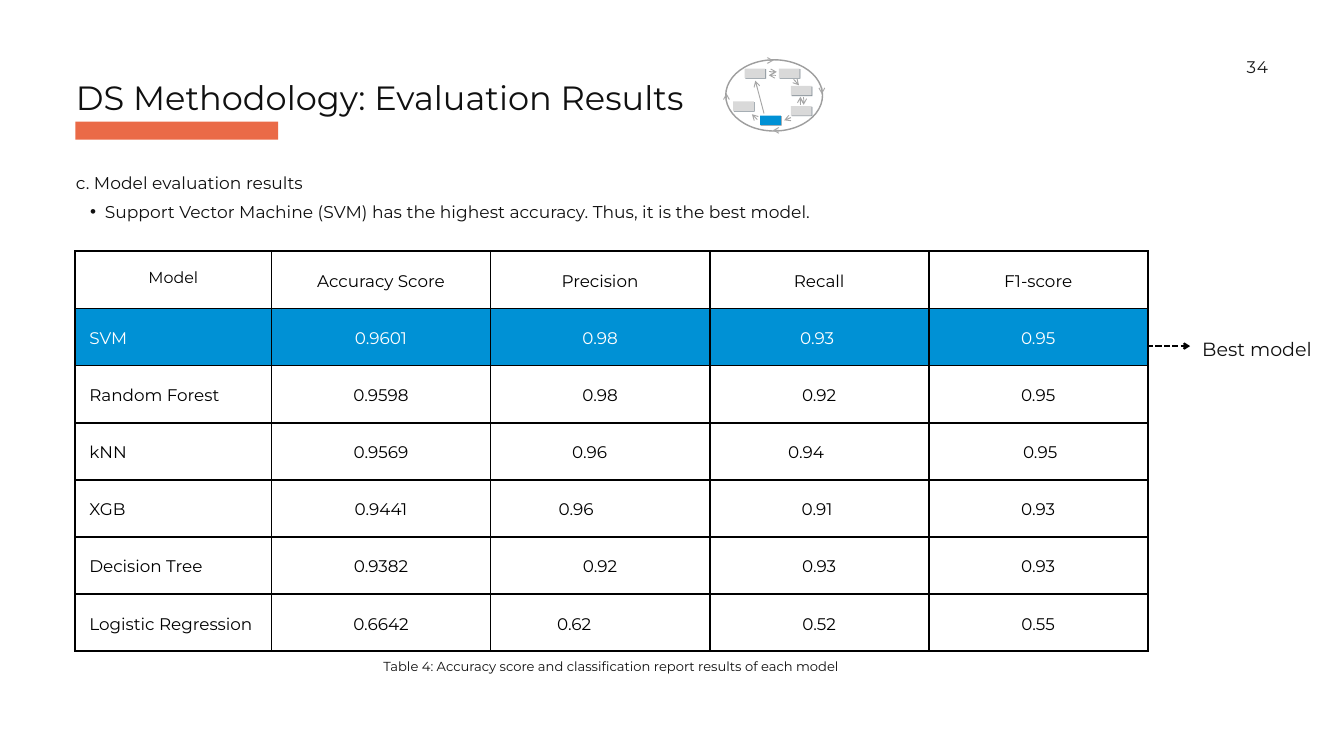
from dataclasses import dataclass

import lxml.etree
import pptx
import pptx.dml.color
import pptx.enum.dml
import pptx.enum.shapes
import pptx.enum.text
import pptx.oxml.ns
import pptx.util


@dataclass
class Theme:
    font: str = "Montserrat"
    ink: str = "101010"
    black: str = "000000"
    white: str = "FFFFFF"
    page: str = "191919"
    coral: str = "EA6A47"
    blue: str = "0091D5"
    ring: str = "9E9E9E"
    arrow: str = "A6A6A6"
    shade: str = "77838D"
    face: str = "D9D9D9"
    title: float = 36
    label: float = 20.4
    body: float = 18.3
    cell: float = 18
    head: float = 17
    note: float = 14


theme = Theme()
PX = 9144
Pt = pptx.util.Pt
RGB = pptx.dml.color.RGBColor.from_string
qn = pptx.oxml.ns.qn
align = pptx.enum.text.PP_ALIGN
kind = pptx.enum.shapes.MSO_SHAPE
sub = lxml.etree.SubElement


def write(para, text, size=theme.cell, color=theme.ink, lead=25.2, side=align.LEFT, track=0):
    para.alignment = side
    para.line_spacing = Pt(lead)
    para.space_before = Pt(0)
    run = para.add_run()
    run.text = text
    run.font.name = theme.font
    run.font.size = Pt(size)
    run.font.bold = False
    run.font.color.rgb = RGB(color)
    if track:
        run._r.get_or_add_rPr().set("spc", str(track))


def link(home, ends, color, width, dash=None):
    wire = home.add_connector(pptx.enum.shapes.MSO_CONNECTOR.STRAIGHT, *[v * PX for v in ends])
    wire.line.color.rgb = RGB(color)
    wire.line.width = Pt(width)
    if dash:
        wire.line.dash_style = dash
    sub(wire.line._get_or_add_ln(), qn("a:tailEnd"), type="arrow")
    sub(wire._element.spPr, qn("a:effectLst"))


deck = pptx.Presentation()
deck.slide_width = 2000 * PX
deck.slide_height = 1125 * PX
slide = deck.slides.add_slide(deck.slide_layouts[1])
shapes = slide.shapes

bar = shapes.add_shape(kind.RECTANGLE, 112 * PX, 181 * PX, 302 * PX, 27 * PX)
bar.shadow.inherit = False
bar.fill.solid()
bar.fill.fore_color.rgb = RGB(theme.coral)
bar.line.fill.background()

title, body = shapes.title, slide.placeholders[1]
best, note, page = [shapes.add_textbox(0, 0, PX, PX) for _ in range(3)]
spots = [
    (title, (113, 104, 1275, 68)),
    (body, (113, 244, 1330, 83)),
    (best, (1789, 488, 201, 43)),
    (note, (112, 970, 1595, 30)),
    (page, (1845, 79, 42, 34)),
]
for box, spot in spots:
    box.left, box.top, box.width, box.height = [v * PX for v in spot]
    frame = box.text_frame
    frame.margin_left = frame.margin_right = frame.margin_top = frame.margin_bottom = 0
    frame.word_wrap = True
    frame.auto_size = pptx.enum.text.MSO_AUTO_SIZE.NONE
    frame.vertical_anchor = pptx.enum.text.MSO_ANCHOR.TOP

write(title.text_frame.paragraphs[0], "DS Methodology: Evaluation Results",
      size=theme.title, lead=50.4, side=align.JUSTIFY)
write(best.text_frame.paragraphs[0], "Best model",
      size=theme.label, lead=34.6, side=align.JUSTIFY)
write(note.text_frame.paragraphs[0],
      "Table 4: Accuracy score and classification report results of each model",
      size=theme.note, lead=23.8, side=align.CENTER)
write(page.text_frame.paragraphs[0], "34", color=theme.page, side=align.RIGHT, track=90)

points = [
    ("c. Model evaluation results", 0, 0, 0, ""),
    ("Support Vector Machine (SVM) has the highest accuracy. Thus, it is the best model.",
     1, 43, -22, "•"),
]
for i, (text, level, left, hang, mark) in enumerate(points):
    para = body.text_frame.paragraphs[0] if i == 0 else body.text_frame.add_paragraph()
    para.level = level
    props = para._p.get_or_add_pPr()
    props.set("marL", str(left * PX))
    props.set("indent", str(hang * PX))
    if mark:
        sub(props, qn("a:buFont"), typeface="Arial")
        sub(props, qn("a:buChar"), char=mark)
    else:
        sub(props, qn("a:buNone"))
    write(para, text, size=theme.body, lead=31.1, side=align.JUSTIFY)

rows = [
    ("Model", "Accuracy Score", "Precision", "Recall", "F1-score"),
    ("SVM", "0.9601", "0.98", "0.93", "0.95"),
    ("Random Forest", "0.9598", "0.98", "0.92", "0.95"),
    ("kNN", "0.9569", "0.96", "0.94", "0.95"),
    ("XGB", "0.9441", "0.96", "0.91", "0.93"),
    ("Decision Tree", "0.9382", "0.92", "0.93", "0.93"),
    ("Logistic Regression", "0.6642", "0.62", "0.52", "0.55"),
]
shift = {(1, 3): -6, (3, 2): -31, (3, 3): -39, (3, 4): 6, (4, 2): -71, (4, 3): -6, (6, 2): -77}
high, pad = 85, 21
grid = shapes.add_table(len(rows), 5, 112 * PX, 374 * PX, 1596 * PX, high * len(rows) * PX).table
grid.first_row = grid.horz_banding = False
for c, col in enumerate(grid.columns):
    col.width = (326 if c else 292) * PX
for r, row in enumerate(rows):
    grid.rows[r].height = high * PX
    for c, text in enumerate(row):
        cell = grid.cell(r, c)
        move = shift.get((r, c), 0)
        cell.margin_top = cell.margin_bottom = pad * PX
        cell.margin_left = (pad + max(move, 0)) * PX
        cell.margin_right = (pad + max(-move, 0)) * PX
        cell.vertical_anchor = pptx.enum.text.MSO_ANCHOR.MIDDLE
        for edge in ("lnL", "lnR", "lnT", "lnB"):
            line = sub(cell._tc.get_or_add_tcPr(), qn("a:" + edge), w=str(Pt(2.25)))
            sub(sub(line, qn("a:solidFill")), qn("a:srgbClr"), val=theme.black)
        if r == 1:
            cell.fill.solid()
            cell.fill.fore_color.rgb = RGB(theme.blue)
        else:
            cell.fill.background()
        first = r == c == 0
        write(cell.text_frame.paragraphs[0], text,
              size=theme.head if first else theme.cell,
              lead=16.1 if first else 25.2,
              color=theme.white if r == 1 else theme.black,
              side=align.LEFT if r and not c else align.CENTER)

link(shapes, (1707, 515, 1771, 515), theme.black, 2.25, pptx.enum.dml.MSO_LINE.SQUARE_DOT)

cycle = shapes.add_group_shape().shapes
ring = cycle.add_shape(kind.OVAL, 1080 * PX, 89 * PX, 144 * PX, 106 * PX)
ring.shadow.inherit = False
ring.fill.background()
ring.line.color.rgb = RGB(theme.ring)
ring.line.width = Pt(1.5)

steps = [(1108, 102), (1159, 102), (1177, 128), (1177, 158), (1131, 172), (1091, 151)]
for i, (x, y) in enumerate(steps):
    for gap, color in ((1, theme.shade), (0, theme.blue if i == 4 else theme.face)):
        step = cycle.add_shape(kind.RECTANGLE, (x + gap) * PX, (y + gap) * PX, 31 * PX, 14 * PX)
        step.shadow.inherit = False
        step.fill.solid()
        step.fill.fore_color.rgb = RGB(color)
        step.line.fill.background()

flows = [
    (1155, 112, 1144, 112), (1144, 107, 1156, 107), (1181, 118, 1189, 127),
    (1196, 145, 1196, 156), (1191, 156, 1191, 144), (1177, 175, 1167, 179),
    (1127, 178, 1119, 170), (1137, 169, 1124, 120), (1150, 90, 1151, 90),
    (1151, 194, 1150, 194), (1081, 140, 1081, 139), (1223, 139, 1223, 140),
]
for flow in flows:
    link(cycle, flow, theme.arrow, 1)

deck.save("out.pptx")
